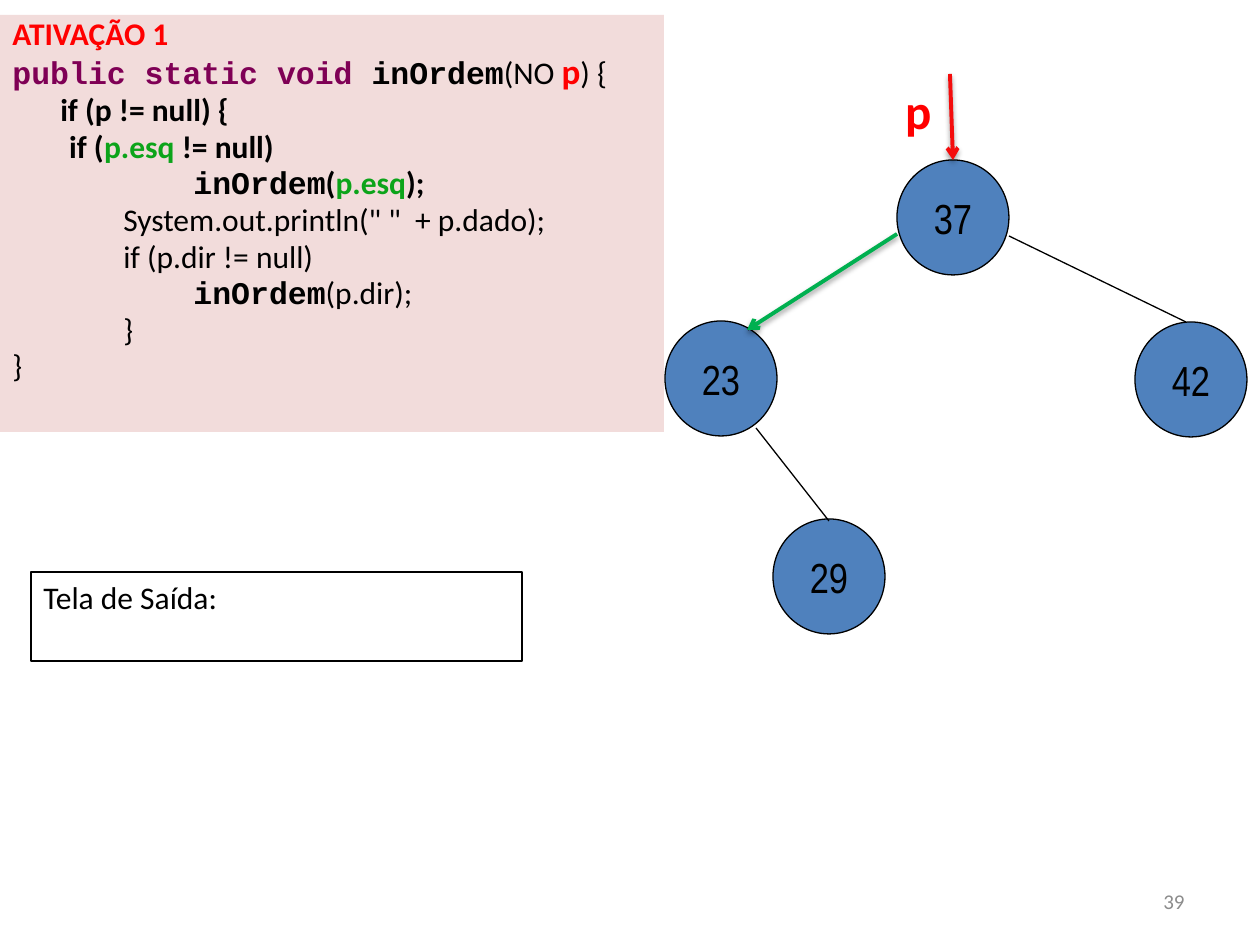
from lxml import etree
from pptx import Presentation
from pptx.dml.color import RGBColor
from pptx.enum.shapes import MSO_CONNECTOR, MSO_SHAPE
from pptx.enum.text import MSO_ANCHOR, PP_ALIGN
from pptx.oxml.ns import qn
from pptx.util import Inches, Pt

SCALE = Inches(1) / 126
RECTANGLE, OVAL = MSO_SHAPE.RECTANGLE, MSO_SHAPE.OVAL
STRAIGHT = MSO_CONNECTOR.STRAIGHT
TOP, MIDDLE = MSO_ANCHOR.TOP, MSO_ANCHOR.MIDDLE
LEFT, CENTER, RIGHT = PP_ALIGN.LEFT, PP_ALIGN.CENTER, PP_ALIGN.RIGHT

BLACK = RGBColor(0x00, 0x00, 0x00)
RED = RGBColor(0xFF, 0x00, 0x00)
ARROW_RED = RGBColor(0xF4, 0x0C, 0x0C)
ARROW_GREEN = RGBColor(0x00, 0xB0, 0x50)
CODE_GREEN = RGBColor(0x0C, 0xA4, 0x1A)
KEYWORD = RGBColor(0x7F, 0x00, 0x55)
PINK = RGBColor(0xF2, 0xDC, 0xDB)
BLUE = RGBColor(0x4F, 0x81, 0xBD)
GRAY = RGBColor(0x8C, 0x8C, 0x8C)

PLAIN = ("Calibri", 18, BLACK, False)
BOLD = ("Calibri", 18, BLACK, True)
TITLE = ("Calibri", 18, RED, True)
PARAMETER = ("Calibri", 20, RED, True)
FIELD = ("Calibri", 18, CODE_GREEN, True)
RESERVED = ("Courier New", 18, KEYWORD, True)
METHOD = ("Courier New", 18, BLACK, True)
NODE_LABEL = ("Arial Narrow", 24, BLACK, False)
POINTER_LABEL = ("Calibri", 28, RED, True)
PAGE_NUMBER = ("Calibri", 12, GRAY, False)

CODE_LINES = [
    [("ATIVAÇÃO 1", TITLE)],
    [("public static void ", RESERVED), ("inOrdem", METHOD), ("(NO ", PLAIN),
     ("p", PARAMETER), (") {", PLAIN)],
    [("\tif (p != null) {", BOLD)],
    [("        if (", BOLD), ("p.esq", FIELD), (" != null)", BOLD)],
    [("\t\t\t ", PLAIN), ("inOrdem", METHOD), ("(", BOLD), ("p.esq", FIELD),
     (");", BOLD)],
    [("\t\tSystem.out.println(\" \"  + p.dado);", PLAIN)],
    [("\t\tif (p.dir != null)", PLAIN)],
    [("\t\t\t ", PLAIN), ("inOrdem", METHOD), ("(p.dir);", PLAIN)],
    [("\t\t}", PLAIN)],
    [("}", PLAIN)],
]

NODE_WIDTH, NODE_HEIGHT = 112, 115
NODES = [("37", 897, 160), ("23", 665, 321), ("42", 1135, 322), ("29", 773, 519)]
EDGES = [(897, 234, 748, 330), (1009, 236, 1186, 322), (756, 428, 829, 521)]


def px(*lengths):
    return [round(length * SCALE) for length in lengths]


def style_font(font, style):
    name, size, color, bold = style
    font.name, font.size, font.bold = name, Pt(size), bold
    font.color.rgb = color


def write_runs(paragraph, runs, align=LEFT):
    paragraph.alignment = align
    for text, style in runs:
        run = paragraph.add_run()
        run.text = text
        style_font(paragraph.font if len(runs) == 1 else run.font, style)


def add_box(slide, kind, box, fill=None, line=None, anchor=TOP):
    shape = slide.shapes.add_shape(kind, *px(*box))
    shape.shadow.inherit = False
    if fill is None:
        shape.fill.background()
    else:
        shape.fill.solid()
        shape.fill.fore_color.rgb = fill
    if line is None:
        shape.line.fill.background()
    else:
        shape.line.color.rgb = line
        shape.line.width = Pt(0.75)
    shape.text_frame.vertical_anchor = anchor
    shape.text_frame.word_wrap = True
    return shape.text_frame


def add_code(slide, box, lines):
    frame = add_box(slide, RECTANGLE, box, fill=PINK)
    for index, runs in enumerate(lines):
        paragraph = frame.add_paragraph() if index else frame.paragraphs[0]
        properties = paragraph._p.get_or_add_pPr()
        properties.set("marL", str(Inches(0.38)))
        properties.set("indent", str(-Inches(0.38)))
        paragraph.line_spacing = 0.8
        if index:
            paragraph.space_before = Pt(3.6)
        write_runs(paragraph, runs)


def add_node(slide, label, left, top):
    box = (left, top, NODE_WIDTH, NODE_HEIGHT)
    frame = add_box(slide, OVAL, box, BLUE, BLACK, MIDDLE)
    frame.word_wrap = False
    write_runs(frame.paragraphs[0], [(label, NODE_LABEL)], CENTER)


def add_label(slide, box, text, style, align=LEFT, anchor=TOP):
    frame = slide.shapes.add_textbox(*px(*box)).text_frame
    frame.word_wrap = True
    frame.vertical_anchor = anchor
    write_runs(frame.paragraphs[0], [(text, style)], align)


def add_edge(slide, ends, color=BLACK, width=0.75):
    connector = slide.shapes.add_connector(STRAIGHT, *px(*ends))
    connector.line.color.rgb = color
    connector.line.width = Pt(width)
    effects = etree.SubElement(connector._element.spPr, qn("a:effectLst"))
    return connector, effects


def add_arrow(slide, ends, color):
    connector, effects = add_edge(slide, ends, color, 2.25)
    etree.SubElement(connector.line._get_or_add_ln(), qn("a:tailEnd"), type="arrow")
    shadow = etree.SubElement(effects, qn("a:outerShdw"), blurRad="40000",
                              dist="20000", dir="5400000", rotWithShape="0")
    shade = etree.SubElement(shadow, qn("a:srgbClr"), val=str(BLACK))
    etree.SubElement(shade, qn("a:alpha"), val="38000")


def main():
    presentation = Presentation()
    presentation.slide_width, presentation.slide_height = px(1260, 945)
    slide = presentation.slides.add_slide(presentation.slide_layouts[6])

    add_label(slide, (903, 876, 294, 50), "39", PAGE_NUMBER, RIGHT, MIDDLE)
    add_code(slide, (0, 15, 664, 417), CODE_LINES)
    output = add_box(slide, RECTANGLE, (31, 572, 491, 89), line=BLACK)
    write_runs(output.paragraphs[0], [("Tela de Saída:", PLAIN)])

    for node in NODES:
        add_node(slide, *node)
    for edge in EDGES:
        add_edge(slide, edge)
    add_arrow(slide, (950, 74, 953, 160), ARROW_RED)
    add_label(slide, (893, 74, 96, 72), "p", POINTER_LABEL)
    add_arrow(slide, (897, 234, 747, 330), ARROW_GREEN)

    presentation.save("out.pptx")


if __name__ == "__main__":
    main()
